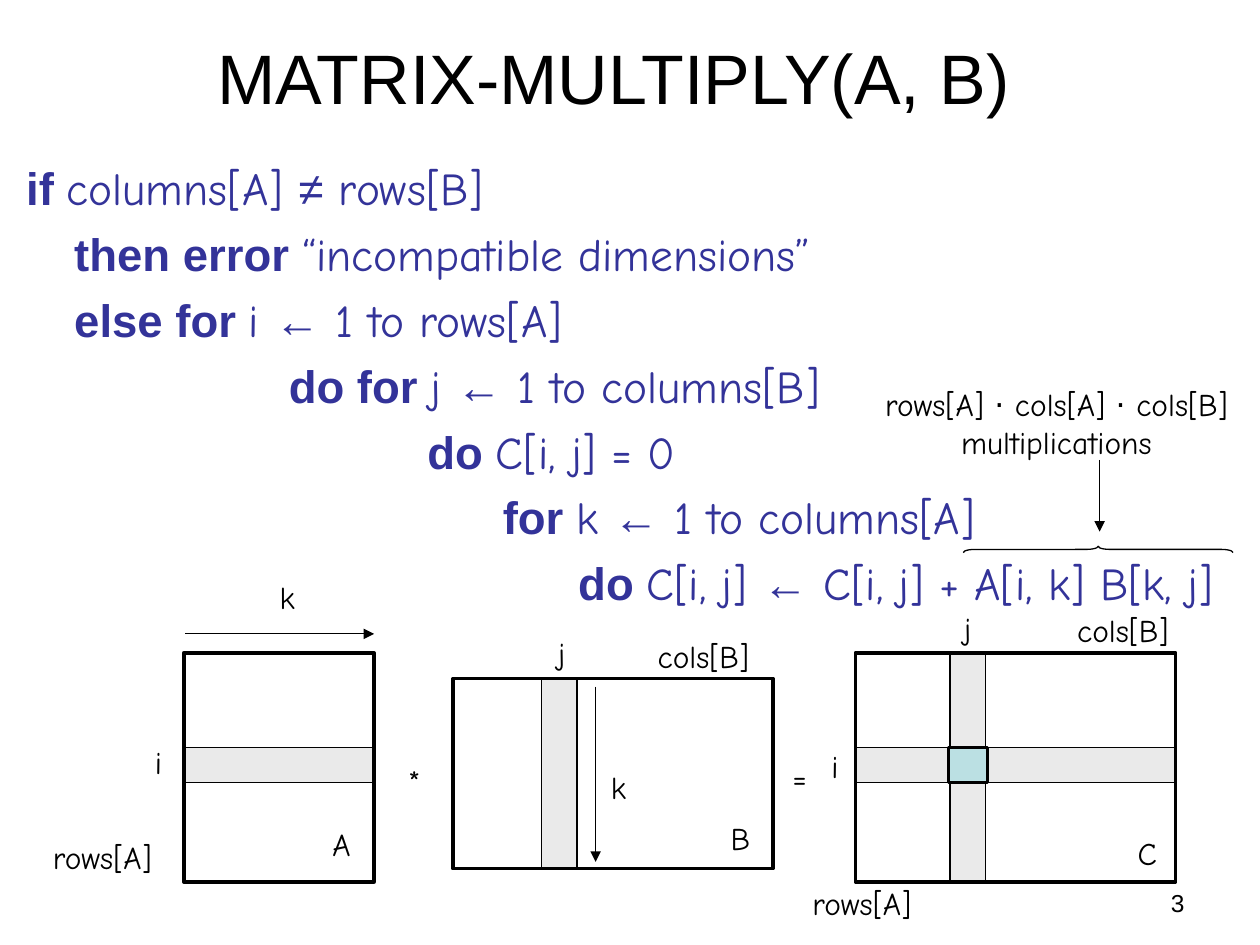
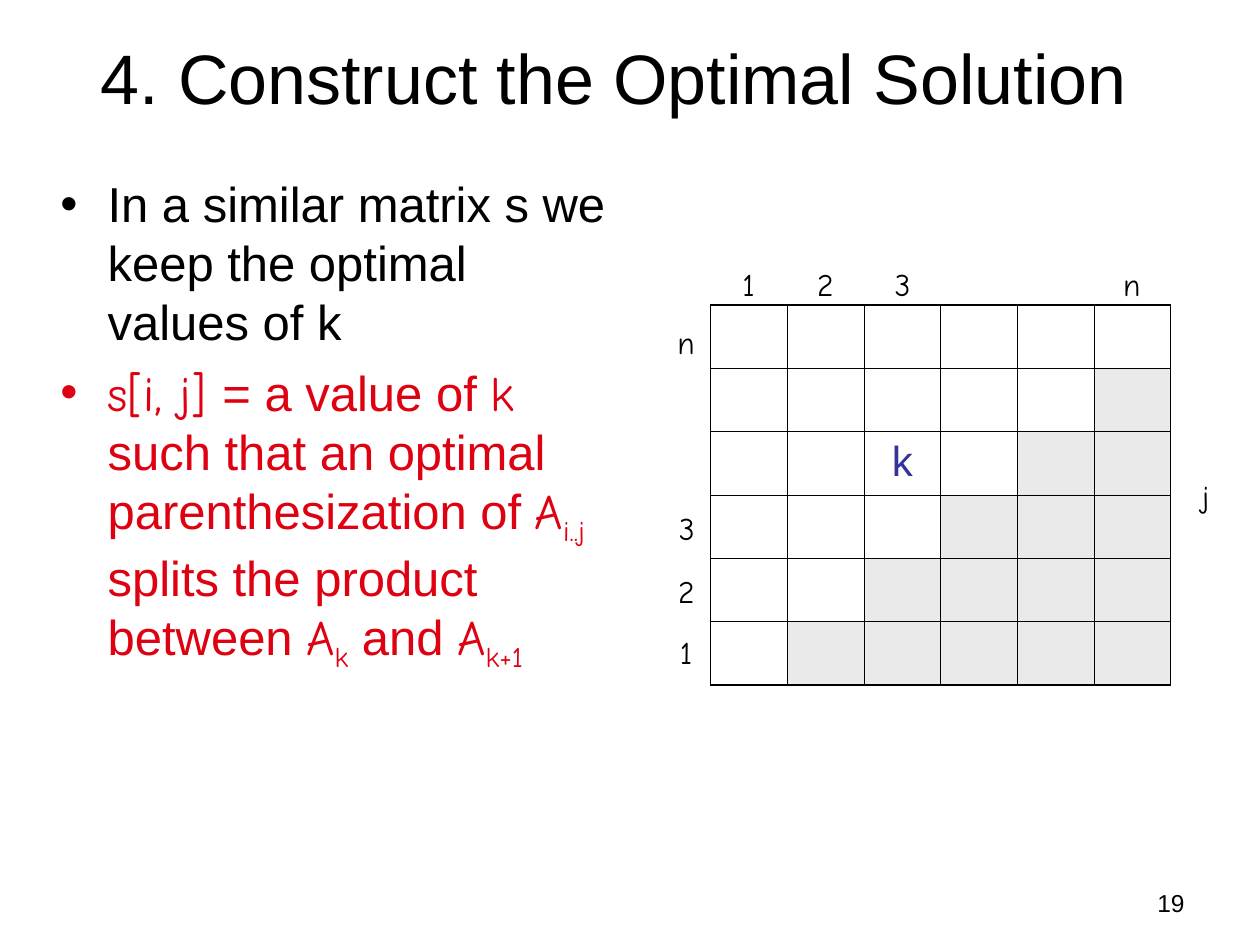
import dataclasses
import typing

import lxml.etree
import pptx
import pptx.dml.color
import pptx.enum.shapes
import pptx.enum.text
import pptx.oxml.ns
import pptx.util

Pt = pptx.util.Pt
SHAPE = pptx.enum.shapes.MSO_SHAPE
ALIGN = pptx.enum.text.PP_ALIGN
qn = pptx.oxml.ns.qn


# Theme
@dataclasses.dataclass(frozen=True)
class Theme:
    black: str = "000000"
    code: str = "333399"
    red: str = "DD0111"
    strip: str = "EAEAEA"
    product: str = "BBE0E3"
    sans: str = "Arial"
    hand: str = "Comic Neue"
    title_size: float = 40
    bullet_size: float = 28
    code_size: float = 26
    cell_size: float = 24
    label_size: float = 18
    number_size: float = 14
    thin: float = 0.75
    thick: float = 2
    grid_inner: float = 0.45
    grid_outer: float = 1.08


T = Theme()


# Repeated elements, all lengths in points
class Box(typing.NamedTuple):
    x: float
    y: float
    w: float
    h: float


class Run(typing.NamedTuple):
    text: str
    font: str = T.sans
    bold: bool = False
    sub: bool = False


@dataclasses.dataclass
class Para:
    runs: list[Run]
    size: float
    color: str = T.black
    align: typing.Any = ALIGN.LEFT
    indent: float = 0
    before: float = 0
    bullet: bool = False


class Label(typing.NamedTuple):
    text: str
    center: float
    top: float


class Matrix(typing.NamedTuple):
    box: Box
    row: float | None = None
    col: float | None = None


class Arrow(typing.NamedTuple):
    x1: float
    y1: float
    x2: float
    y2: float


def hand(text: str) -> Run:
    return Run(text, T.hand)


def bold(text: str) -> Run:
    return Run(text, bold=True)


def sub(text: str) -> Run:
    return Run(text, T.hand, sub=True)


def rgb(color: str) -> pptx.dml.color.RGBColor:
    return pptx.dml.color.RGBColor.from_string(color)


def pts(values: typing.Iterable[float]) -> list[int]:
    return [Pt(v) for v in values]


# Text
def fill_para(p, para: Para) -> None:
    p.alignment = para.align
    p.space_before = Pt(para.before)
    for run in para.runs:
        r = p.add_run()
        r.text = run.text
        r.font.name = run.font
        r.font.size = Pt(para.size)
        r.font.bold = run.bold
        r.font.color.rgb = rgb(para.color)
        if run.sub:
            r.font._element.set("baseline", "-25000")
    pPr = p._p.get_or_add_pPr()
    pPr.set("marL", str(Pt(para.indent)))
    if para.bullet:
        pPr.set("indent", str(-Pt(para.indent)))
        clr = lxml.etree.SubElement(pPr, qn("a:buClr"))
        lxml.etree.SubElement(clr, qn("a:srgbClr"), val=para.color)
        lxml.etree.SubElement(pPr, qn("a:buFont"), typeface=T.sans)
        lxml.etree.SubElement(pPr, qn("a:buChar"), char="•")


def add_text(s, box: Box, paras: list[Para], wrap: bool = True, middle: bool = False) -> None:
    tf = s.shapes.add_textbox(*pts(box)).text_frame
    tf.word_wrap = wrap
    if not wrap:
        tf.auto_size = pptx.enum.text.MSO_AUTO_SIZE.SHAPE_TO_FIT_TEXT
    if middle:
        tf.vertical_anchor = pptx.enum.text.MSO_ANCHOR.MIDDLE
    for i, para in enumerate(paras):
        fill_para(tf.add_paragraph() if i else tf.paragraphs[0], para)


LABEL_HEIGHT = 28.8
LABEL_WIDTHS = {
    "rows[A]": 72, "cols[B]": 68, "A": 24.5, "B": 25.2, "C": 25.2,
    "i": 18, "j": 18.7, "k": 23, "n": 24.5, "1": 21.6, "2": 23.8, "3": 23,
    "*": 21.6, "=": 22.3,
}


def add_label(s, label: Label) -> None:
    w = LABEL_WIDTHS[label.text]
    box = Box(label.center - w / 2, label.top, w, LABEL_HEIGHT)
    add_text(s, box, [Para([hand(label.text)], T.label_size)], wrap=False)


# Shapes
def add_outline(s, kind, box: Box, width: float, fill: str | None = None):
    sp = s.shapes.add_shape(kind, *pts(box))
    sp.shadow.inherit = False
    if fill:
        sp.fill.solid()
        sp.fill.fore_color.rgb = rgb(fill)
    else:
        sp.fill.background()
    sp.line.color.rgb = rgb(T.black)
    sp.line.width = Pt(width)
    return sp


def add_arrow(s, arrow: Arrow) -> None:
    cx = s.shapes.add_connector(pptx.enum.shapes.MSO_CONNECTOR.STRAIGHT, *pts(arrow))
    cx.line.color.rgb = rgb(T.black)
    cx.line.width = Pt(T.thin)
    lxml.etree.SubElement(cx.line._get_or_add_ln(), qn("a:tailEnd"), type="triangle")
    lxml.etree.SubElement(cx._element.spPr, qn("a:effectLst"))


STRIP = 20.2


def add_matrix(s, m: Matrix) -> None:
    x, y, w, h = m.box
    if m.row is not None:
        add_outline(s, SHAPE.RECTANGLE, Box(x, y + m.row, w, STRIP), T.thin, T.strip)
    if m.col is not None:
        add_outline(s, SHAPE.RECTANGLE, Box(x + m.col, y, STRIP, h), T.thin, T.strip)
    add_outline(s, SHAPE.RECTANGLE, m.box, T.thick)


# Table
def set_borders(cell, widths: dict[str, float]) -> None:
    tcPr = cell._tc.get_or_add_tcPr()
    for side, width in widths.items():
        ln = lxml.etree.SubElement(tcPr, qn(f"a:ln{side}"), w=str(Pt(width)))
        solid = lxml.etree.SubElement(ln, qn("a:solidFill"))
        lxml.etree.SubElement(solid, qn("a:srgbClr"), val=T.black)


def add_triangle_grid(s, box: Box, n: int) -> None:
    tb = s.shapes.add_table(n, n, *pts(box)).table
    tb.first_row = tb.horz_banding = False
    for i in range(n):
        tb.columns[i].width = Pt(box.w / n)
        tb.rows[i].height = Pt(box.h / n)
    for row in range(n):
        for col in range(n):
            cell = tb.cell(row, col)
            on_edge = {"L": col == 0, "R": col == n - 1, "T": row == 0, "B": row == n - 1}
            set_borders(cell, {side: T.grid_outer if edge else T.grid_inner
                               for side, edge in on_edge.items()})
            if row + col >= n:
                cell.fill.solid()
                cell.fill.fore_color.rgb = rgb(T.strip)
            else:
                cell.fill.background()
    fill_para(tb.cell(2, 2).text_frame.paragraphs[0],
              Para([Run("k")], T.cell_size, T.code, ALIGN.CENTER))


# Slide frame: title and number
def add_slide(prs, title: str, number: str):
    s = prs.slides.add_slide(prs.slide_layouts[6])
    add_text(s, Box(516.2, 504, 167.8, 25.2),
             [Para([Run(number)], T.number_size, align=ALIGN.RIGHT)])
    add_text(s, Box(26.6, 7.9, 648, 71.3),
             [Para([Run(title)], T.title_size, align=ALIGN.CENTER)], middle=True)
    return s


def build_multiply(prs) -> None:
    s = add_slide(prs, "MATRIX-MULTIPLY(A, B)", "3")

    # Pseudocode, one indent per line
    arrow = Run("←")
    code = [
        (0, [bold("if "), hand("columns[A] "), Run("≠"), hand(" rows[B]")]),
        (27.4, [bold("then error "), hand("“incompatible dimensions”")]),
        (27.4, [bold("else for "), hand("i "), arrow, hand(" 1 to rows[A]")]),
        (150, [bold("do for "), hand("j "), arrow, hand(" 1 to columns[B]")]),
        (229.2, [bold("do "), hand("C[i, j] = 0")]),
        (272.3, [bold("for "), hand("k "), arrow, hand(" 1 to columns[A]")]),
        (315.4, [bold("do "), hand("C[i, j] "), arrow, hand(" C[i, j] + A[i, k] B[k, j]")]),
    ]
    add_text(s, Box(7.9, 87.8, 712.1, 399.6),
             [Para(runs, T.code_size, T.code, indent=indent, before=6.5)
              for indent, runs in code])

    # Matrices A, B and C
    for m in (Matrix(Box(105, 373, 108.7, 131), row=54),
              Matrix(Box(258.8, 387.7, 182.9, 108.7), col=50.8),
              Matrix(Box(488.9, 373, 182.9, 131), row=54, col=54)):
        add_matrix(s, m)
    add_outline(s, SHAPE.RECTANGLE, Box(542, 427, 22.3, STRIP), T.thick, T.product)

    for label in (
        Label("rows[A]", 59.2, 475.2), Label("rows[A]", 493.2, 501.8),
        Label("cols[B]", 402.7, 360.7), Label("cols[B]", 642.4, 345.6),
        Label("i", 90.4, 421.2), Label("i", 477, 423.4),
        Label("j", 321.1, 358.6), Label("j", 553, 344.2),
        Label("k", 164.2, 326.9), Label("k", 353.5, 435.6),
        Label("A", 195.1, 468), Label("B", 423, 464.4), Label("C", 655.6, 473),
        Label("*", 236.9, 432), Label("=", 456.8, 429.8),
    ):
        add_label(s, label)

    # Count of multiplications over a brace
    dot = Run("⋅")
    caption = [[hand("rows[A] "), dot, hand(" cols[A] "), dot, hand(" cols[B]")],
               [hand("multiplications")]]
    add_text(s, Box(493.4, 216.7, 220.6, 50.4),
             [Para(runs, T.label_size, align=ALIGN.CENTER) for runs in caption], wrap=False)
    brace = add_outline(s, SHAPE.LEFT_BRACE, Box(625.7, 236.9, 3.6, 154.1), T.thin)
    brace.rotation = 90
    brace.adjustments[0] = 1.8

    for a in (Arrow(105.8, 362.2, 213.8, 362.2), Arrow(340.4, 392.4, 340.4, 492.5),
              Arrow(628.4, 262.8, 628.4, 303.8)):
        add_arrow(s, a)


def build_solution(prs) -> None:
    s = add_slide(prs, "4. Construct the Optimal Solution", "19")

    # Bullets
    bullets = [
        (T.black, [Run("In a similar matrix s we keep the optimal values of k")]),
        (T.red, [hand("s[i, j] "), Run("= a value of "), hand("k"),
                 Run(" such that an optimal parenthesization of "), hand("A"), sub("i..j"),
                 Run(" splits the product between "), hand("A"), sub("k"),
                 Run(" and "), hand("A"), sub("k+1")]),
    ]
    add_text(s, Box(27.4, 95.8, 327.6, 399.6),
             [Para(runs, T.bullet_size, color, indent=27, before=7, bullet=True)
              for color, runs in bullets])

    # Grid with column and row labels
    n = 6
    grid = Box(406.1, 174.3, 262.8, 217.2)
    add_triangle_grid(s, grid, n)
    for col, text in {0: "1", 1: "2", 2: "3", 5: "n"}.items():
        add_label(s, Label(text, grid.x + (col + 0.5) * grid.w / n, 148.1))
    for text, top in {"n": 180.9, "3": 287.3, "2": 323.3, "1": 358}.items():
        add_label(s, Label(text, 392.3, top))
    add_label(s, Label("j", 689, 269.3))


def main() -> None:
    prs = pptx.Presentation()
    prs.slide_width, prs.slide_height = Pt(720), Pt(540)
    build_multiply(prs)
    build_solution(prs)
    prs.save("out.pptx")


if __name__ == "__main__":
    main()
